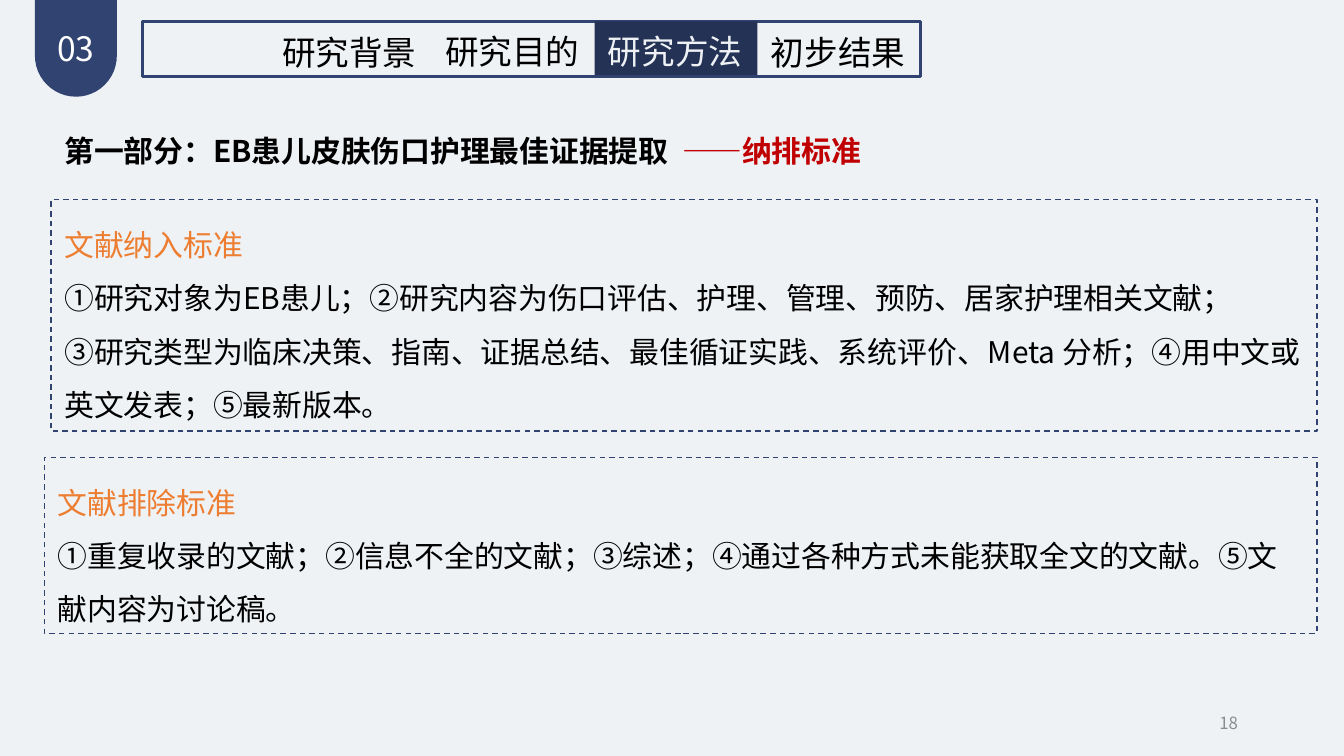
import pptx
import pptx.dml.color
import pptx.enum.dml
import pptx.enum.shapes
import pptx.enum.text
import pptx.oxml
import pptx.oxml.ns
import pptx.util

Pt = pptx.util.Pt
RGB = pptx.dml.color.RGBColor
SHAPE = pptx.enum.shapes.MSO_SHAPE
ALIGN = pptx.enum.text.PP_ALIGN
ANCHOR = pptx.enum.text.MSO_ANCHOR
AUTO_SIZE = pptx.enum.text.MSO_AUTO_SIZE

FONT = "Noto Sans CJK SC"
PALE = RGB(0xEE, 0xF2, 0xF5)
NAVY = RGB(0x30, 0x43, 0x71)
DARK_NAVY = RGB(0x24, 0x32, 0x55)
ORANGE = RGB(0xED, 0x7D, 0x31)
RED = RGB(0xC0, 0x00, 0x00)
GREY = RGB(0x8C, 0x8C, 0x8C)
BLACK = RGB(0, 0, 0)
WHITE = RGB(0xFF, 0xFF, 0xFF)

TAB_LEFT, TAB_PITCH, TAB_WIDTH, TAB_HEIGHT = 144, 87.3, 87.1, 28.8


def add_panel(slide, box, fill=None, line_width=None, kind=SHAPE.RECTANGLE):
    panel = slide.shapes.add_shape(kind, *map(Pt, box))
    panel.shadow.inherit = False
    if fill is None:
        panel.fill.background()
    else:
        panel.fill.solid()
        panel.fill.fore_color.rgb = fill
    if line_width is None:
        panel.line.fill.background()
    else:
        panel.line.color.rgb = NAVY
        panel.line.width = Pt(line_width)
    return panel


def write(holder, lines, size, bold=None, align=ALIGN.LEFT, spacing=1.2,
          anchor=ANCHOR.TOP, wrap=True):
    """Fill a shape with (text, colour) paragraphs; spacing is in font sizes."""
    frame = holder.text_frame
    frame.word_wrap = wrap
    frame.vertical_anchor = anchor
    frame.auto_size = AUTO_SIZE.NONE
    frame.margin_top, frame.margin_bottom = Pt(5), Pt(2.2)
    for number, (text, color) in enumerate(lines):
        paragraph = frame.add_paragraph() if number else frame.paragraphs[0]
        paragraph.alignment = align
        paragraph.line_spacing = Pt(size * spacing)
        run = paragraph.add_run()
        run.text = text
        run.font.size = Pt(size)
        run.font.bold = bold
        run.font.color.rgb = color
        run.font.name = FONT
        east_asian = pptx.oxml.parse_xml(
            f'<a:ea {pptx.oxml.ns.nsdecls("a")} typeface="{FONT}"/>')
        run.font._element.append(east_asian)


def add_label(slide, box, text, size, color, **style):
    label = slide.shapes.add_textbox(*map(Pt, box))
    write(label, [(text, color)], size, **style)


def add_badge(slide, number):
    """Section number on a tab hanging from the top edge."""
    badge = add_panel(slide, (18.7, 0, 43.9, 51.8), NAVY,
                      kind=SHAPE.ROUND_2_SAME_RECTANGLE)
    badge.adjustments[0] = 0.5
    badge.rotation = 180
    add_label(slide, (23, 10, 35.3, TAB_HEIGHT), number, 18, WHITE,
              align=ALIGN.CENTER, wrap=False)


def add_tab(slide, position, top, text, color=BLACK, fill=None):
    box = (TAB_LEFT + position * TAB_PITCH, top, TAB_WIDTH, TAB_HEIGHT)
    if fill is None:
        add_label(slide, box, text, 18, color)
    else:
        write(add_panel(slide, box, fill), [(text, color)], 18)


def add_navigation(slide):
    add_tab(slide, 0, 12.2, "研究背景", fill=PALE)
    add_panel(slide, (76.3, 11.5, 416.9, 29.5), line_width=1.5)
    add_tab(slide, 1, 11.5, "研究目的")
    add_tab(slide, 2, 11.5, "研究方法", PALE, DARK_NAVY)
    add_tab(slide, 3, 12.2, "初步结果")


def add_criteria(slide, box, heading, items):
    panel = add_panel(slide, box, line_width=0.75)
    panel.line.dash_style = pptx.enum.dml.MSO_LINE.DASH
    lines = [(heading, ORANGE)] + [(item, BLACK) for item in items]
    write(panel, lines, 16, spacing=1.79)


def main():
    deck = pptx.Presentation()
    deck.slide_width, deck.slide_height = Pt(720), Pt(405)
    slide = deck.slides.add_slide(deck.slide_layouts[6])
    slide.background.fill.solid()
    slide.background.fill.fore_color.rgb = PALE

    add_badge(slide, "03")
    add_label(slide, (27.4, 66.2, 347.8, 26.6),
              "第一部分：EB患儿皮肤伤口护理最佳证据提取", 16, BLACK, bold=True)
    add_criteria(slide, (27.4, 107, 678.2, 124), "文献纳入标准", [
        "①研究对象为EB患儿；②研究内容为伤口评估、护理、管理、预防、居家护理相关文献；",
        "③研究类型为临床决策、指南、证据总结、最佳循证实践、系统评价、Meta 分析；"
        "④用中文或英文发表；⑤最新版本。",
    ])
    add_criteria(slide, (23.8, 245, 681.8, 94.3), "文献排除标准", [
        "①重复收录的文献；②信息不全的文献；③综述；"
        "④通过各种方式未能获取全文的文献。⑤文献内容为讨论稿。",
    ])
    add_label(slide, (508.3, 375, 162, 21.6), "18", 9, GREY,
              align=ALIGN.RIGHT, anchor=ANCHOR.MIDDLE)
    add_label(slide, (358.6, 66.2, 248.4, 26.6), "——纳排标准", 16, RED, bold=True)
    add_navigation(slide)
    deck.save("out.pptx")


if __name__ == "__main__":
    main()
